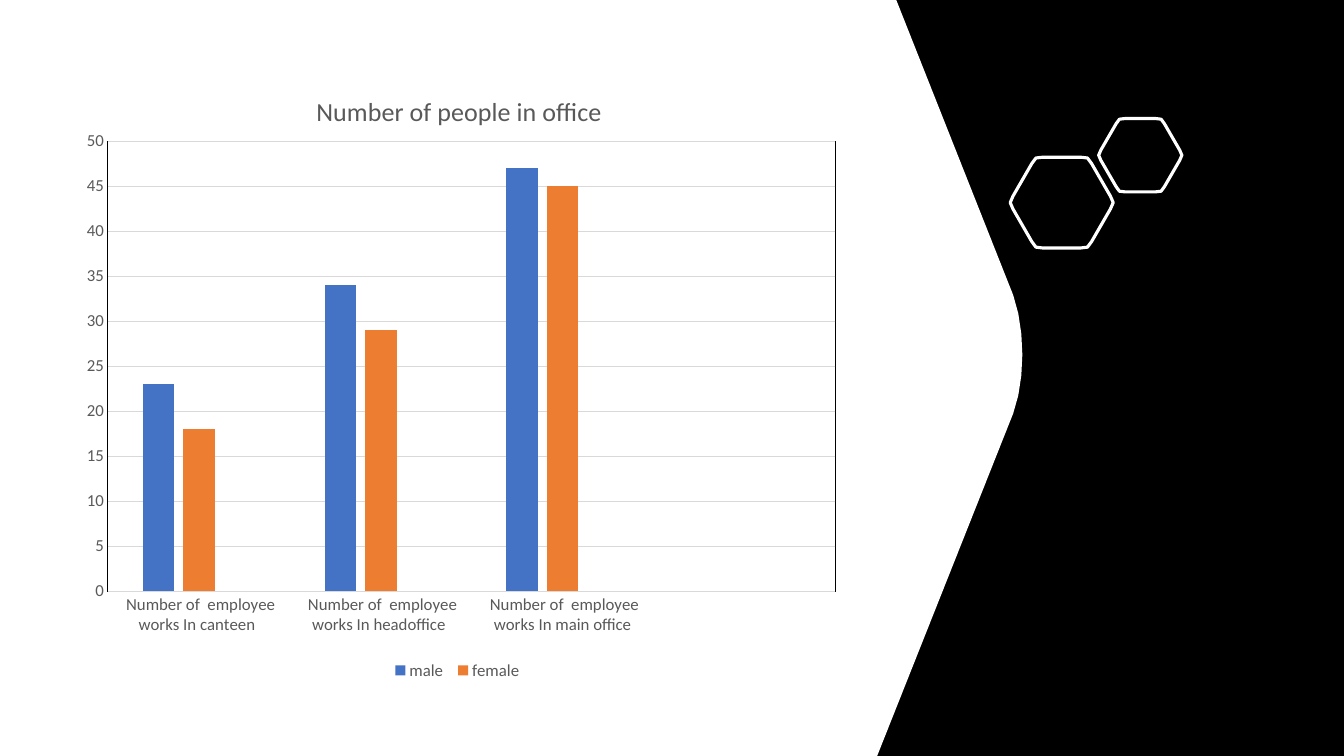
from math import cos, pi, sin

from lxml import etree
from pptx import Presentation
from pptx.chart.data import CategoryChartData
from pptx.dml.color import RGBColor
from pptx.enum.chart import XL_CHART_TYPE, XL_LEGEND_POSITION, XL_TICK_MARK
from pptx.enum.shapes import MSO_SHAPE
from pptx.oxml import parse_xml
from pptx.oxml.ns import nsdecls, qn
from pptx.util import Pt

PX = 9144  # EMU per px, 100 px to the inch
WIDTH, HEIGHT = 1333, 750
CLUSTERED = XL_CHART_TYPE.COLUMN_CLUSTERED
BOTTOM = XL_LEGEND_POSITION.BOTTOM
NO_TICK = XL_TICK_MARK.NONE
FONT = "Calibri"
HEX = {
    "black": "000000", "white": "FFFFFF", "text": "595959", "grid": "D9D9D9",
    "male": "4472C4", "female": "ED7D31", "Series 3": "A5A5A5",
}
COLOR = {name: RGBColor.from_string(value) for name, value in HEX.items()}


def curve(start, control_1, control_2, end, steps):
    """Points along a cubic Bezier curve."""
    points = []
    for step in range(steps + 1):
        t = step / steps
        weights = ((1 - t) ** 3, 3 * t * (1 - t) ** 2, 3 * t * t * (1 - t), t ** 3)
        corners = (start, control_1, control_2, end)
        points.append(tuple(sum(w * c[i] for w, c in zip(weights, corners))
                            for i in (0, 1)))
    return points


def add_outline(points):
    """Closed freeform through points given in px."""
    emu = [(round(x * PX), round(y * PX)) for x, y in points]
    builder = slide.shapes.build_freeform(*emu[0], scale=1.0)
    builder.add_line_segments(emu[1:], close=True)
    outline = builder.convert_to_shape()
    outline.shadow.inherit = False
    return outline


prs = Presentation()
prs.slide_width, prs.slide_height = WIDTH * PX, HEIGHT * PX
slide = prs.slides.add_slide(prs.slide_layouts[6])

# Black backdrop
backdrop = slide.shapes.add_shape(MSO_SHAPE.RECTANGLE, 0, 0, WIDTH * PX, HEIGHT * PX)
backdrop.shadow.inherit = False
backdrop.fill.solid()
backdrop.fill.fore_color.rgb = COLOR["black"]
backdrop.line.fill.background()

# White panel with a rounded point on the right
panel_tip = curve((1005, 293), (1017, 327), (1017, 377), (1005, 410), steps=6)
panel = add_outline([(0, 0), (889, 0), *panel_tip, (870, 750), (0, 750)])
panel.fill.solid()
panel.fill.fore_color.rgb = COLOR["white"]
panel.line.fill.background()

# Two hexagons with rounded corners
ROUNDING = 0.14  # share of each side taken by a corner
for center_x, center_y, radius in ((1053, 201, 52), (1131, 154, 42)):
    corners = [(center_x + radius * cos(k * pi / 3), center_y + radius * sin(k * pi / 3))
               for k in range(6)]
    hexagon_points = []
    for k, corner in enumerate(corners):
        before, after = (
            tuple(c + ROUNDING * (n - c) for c, n in zip(corner, neighbour))
            for neighbour in (corners[k - 1], corners[(k + 1) % 6]))
        hexagon_points += curve(before, corner, corner, after, steps=2)
    hexagon = add_outline(hexagon_points)
    hexagon.fill.background()
    hexagon.line.color.rgb = COLOR["white"]
    hexagon.line.width = Pt(2.25)

# Staff chart; the fourth category and third series are empty
staff = CategoryChartData()
staff.categories = [
    " Number of  employee works In canteen ",
    " Number of  employee works In headoffice ",
    " Number of  employee works In main office",
    "",
]
staff.add_series("male ", (23, 34, 47, None))
staff.add_series("female ", (18, 29, 45, None))
staff.add_series("Series 3", (None,) * 4)
chart = slide.shapes.add_chart(
    CLUSTERED, 70 * PX, 70 * PX, 771 * PX, 609 * PX, staff).chart
chart.font.name = FONT
chart.font.size = Pt(10)
chart.font.color.rgb = COLOR["black"]

# Chart title
chart.has_title = True
chart.chart_title.include_in_layout = False
chart.chart_title.text_frame.text = "Number of people in office"
title_font = chart.chart_title.text_frame.paragraphs[0].runs[0].font
title_font.size = Pt(18.6)
title_font.bold = False

# Columns
columns = chart.plots[0]
columns.vary_by_categories = False
columns.gap_width = 219
columns.overlap = -27
for series in columns.series:
    series.format.fill.solid()
    series.format.fill.fore_color.rgb = COLOR[series.name.strip()]

# Axes
people_axis = chart.value_axis
for axis in (chart.category_axis, people_axis):
    axis.major_tick_mark = axis.minor_tick_mark = NO_TICK
chart.category_axis.format.line.color.rgb = COLOR["grid"]
chart.category_axis.format.line.width = Pt(0.75)
people_axis.format.line.fill.background()
people_axis.minimum_scale, people_axis.maximum_scale = 0, 50
people_axis.major_unit = 5
people_axis.major_gridlines.format.line.color.rgb = COLOR["grid"]
people_axis.major_gridlines.format.line.width = Pt(0.75)

# Legend without the empty series
chart.has_legend = True
legend = chart.legend
legend.position = BOTTOM
legend.include_in_layout = False
legend_entry = parse_xml(
    f'<c:legendEntry {nsdecls("c")}><c:idx val="2"/><c:delete val="1"/></c:legendEntry>')
legend._element.find(qn("c:legendPos")).addnext(legend_entry)

# Shared text style
for font in (chart.category_axis.tick_labels.font, people_axis.tick_labels.font,
             legend.font, title_font):
    font.name = FONT
    font.color.rgb = COLOR["text"]
    if font is not title_font:
        font.size = Pt(12)

# Plot area: fixed inner frame with a hairline border
plot_area = chart._chartSpace.chart.plotArea
for old_layout in plot_area.findall(qn("c:layout")):
    plot_area.remove(old_layout)
layout = etree.Element(qn("c:layout"))
manual = etree.SubElement(layout, qn("c:manualLayout"))
for tag, value in (("layoutTarget", "inner"), ("xMode", "edge"), ("yMode", "edge"),
                   ("x", "0.048"), ("y", "0.115"), ("w", "0.936"), ("h", "0.733")):
    etree.SubElement(manual, qn(f"c:{tag}")).set("val", value)
plot_area.insert(0, layout)
plot_area.append(parse_xml(
    f'<c:spPr {nsdecls("c", "a")}><a:noFill/><a:ln w="0"><a:solidFill>'
    f'<a:srgbClr val="{HEX["black"]}"/></a:solidFill></a:ln></c:spPr>'))

prs.save("out.pptx")
